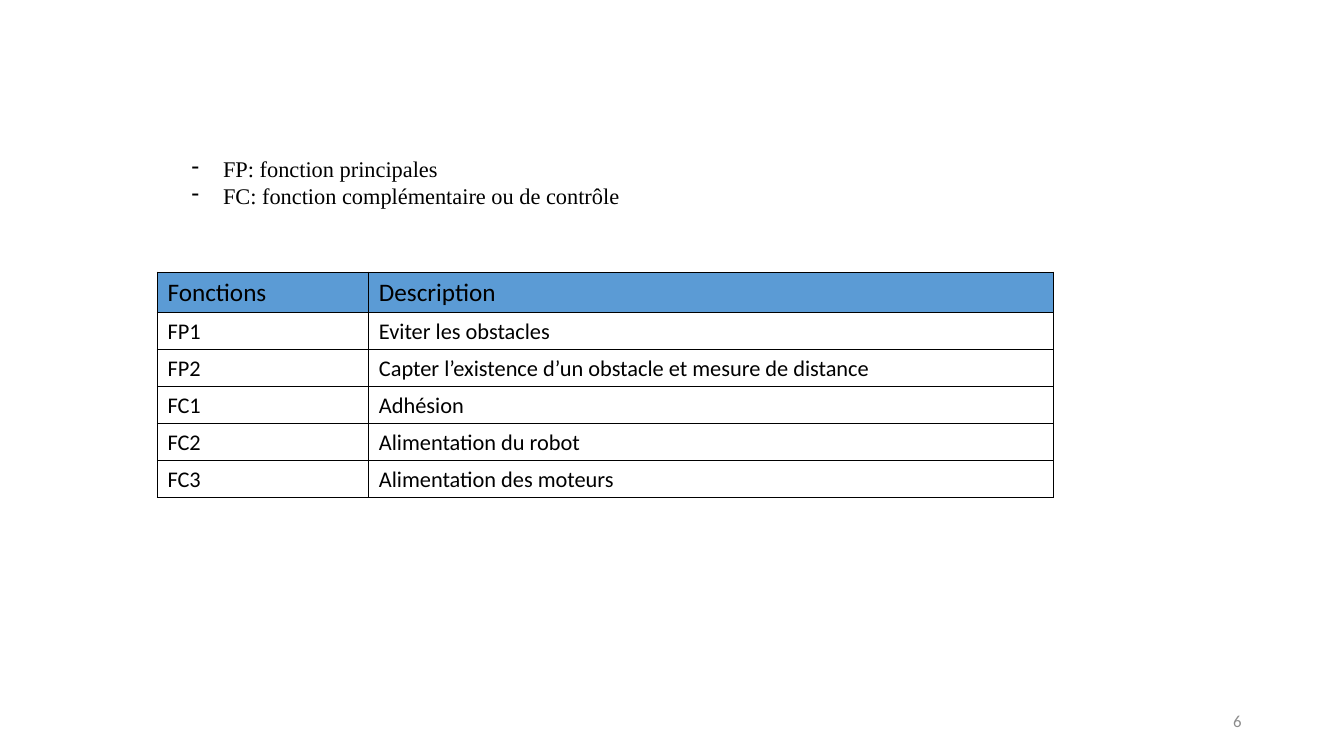
"""Build the slide listing the robot's main and complementary functions."""
from lxml.etree import SubElement
from pptx import Presentation
from pptx.dml.color import RGBColor
from pptx.enum.text import MSO_ANCHOR as Anchor, MSO_AUTO_SIZE as AutoSize, PP_ALIGN as Align
from pptx.oxml.ns import qn
from pptx.util import Pt

BLACK = RGBColor(0x00, 0x00, 0x00)
WHITE = RGBColor(0xFF, 0xFF, 0xFF)
GREY = RGBColor(0x8C, 0x8C, 0x8C)
BLUE = RGBColor(0x5B, 0x9B, 0xD5)

FORMATS = {
    "header": {"name": "Calibri", "size": Pt(18), "bold": False},
    "body": {"name": "Calibri", "size": Pt(16), "bold": False},
    "legend": {"name": "Times New Roman", "size": Pt(16)},
    "number": {"name": "Calibri", "size": Pt(12)},
}
LEGEND = ["FP: fonction principales", "FC: fonction complémentaire ou de contrôle"]
FUNCTIONS = [
    ("Fonctions", "Description"),
    ("FP1", "Eviter les obstacles"),
    ("FP2", "Capter l’existence d’un obstacle et mesure de distance"),
    ("FC1", "Adhésion"),
    ("FC2", "Alimentation du robot"),
    ("FC3", "Alimentation des moteurs"),
]


def write(para, text, style, color=BLACK):
    span = para.add_run()
    span.text = text
    for name, value in FORMATS[style].items():
        setattr(span.font, name, value)
    span.font.color.rgb = color


def add_borders(cell):
    properties = cell._tc.get_or_add_tcPr()
    for position, side in enumerate(("lnL", "lnR", "lnT", "lnB")):
        line = properties.makeelement(qn(f"a:{side}"), {"w": str(Pt(1))})
        fill = SubElement(line, qn("a:solidFill"))
        SubElement(fill, qn("a:srgbClr"), val=str(BLACK))
        properties.insert(position, line)


deck = Presentation()
deck.slide_width, deck.slide_height = Pt(960), Pt(540)
slide = deck.slides.add_slide(deck.slide_layouts[6])

number_box = slide.shapes.add_textbox(Pt(678), Pt(500.5), Pt(216), Pt(28.75))
number_frame = number_box.text_frame
number_frame.word_wrap = True
number_frame.vertical_anchor = Anchor.MIDDLE
number_para = number_frame.paragraphs[0]
number_para.alignment = Align.RIGHT
write(number_para, "6", "number", GREY)

table = slide.shapes.add_table(
    len(FUNCTIONS), 2, Pt(112.5), Pt(194.5), Pt(640), Pt(160.5)
).table
for column, width in zip(table.columns, (151, 489)):
    column.width = Pt(width)
for row_index, texts in enumerate(FUNCTIONS):
    is_header = row_index == 0
    table.rows[row_index].height = Pt(25.2)
    for column_index, text in enumerate(texts):
        cell = table.cell(row_index, column_index)
        cell.fill.solid()
        cell.fill.fore_color.rgb = BLUE if is_header else WHITE
        add_borders(cell)
        write(cell.text_frame.paragraphs[0], text, "header" if is_header else "body")

legend_box = slide.shapes.add_textbox(Pt(129.75), Pt(107.5), Pt(325), Pt(46))
legend_frame = legend_box.text_frame
legend_frame.word_wrap = False
legend_frame.auto_size = AutoSize.SHAPE_TO_FIT_TEXT
for index, text in enumerate(LEGEND):
    para = legend_frame.add_paragraph() if index else legend_frame.paragraphs[0]
    properties = para._p.get_or_add_pPr()
    properties.set("marL", str(Pt(22.5)))
    properties.set("indent", str(-Pt(22.5)))
    SubElement(properties, qn("a:buFontTx"))
    SubElement(properties, qn("a:buChar"), char="-")
    write(para, text, "legend")

deck.save("out.pptx")
